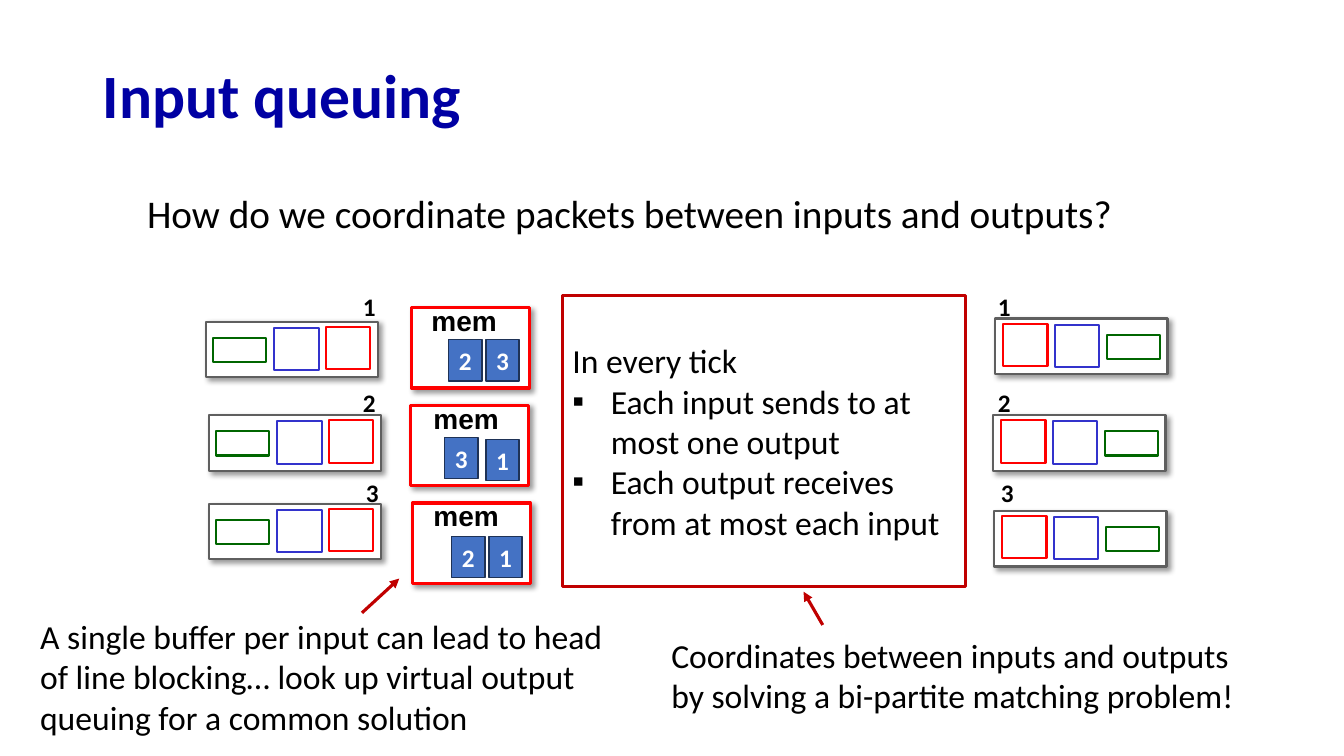
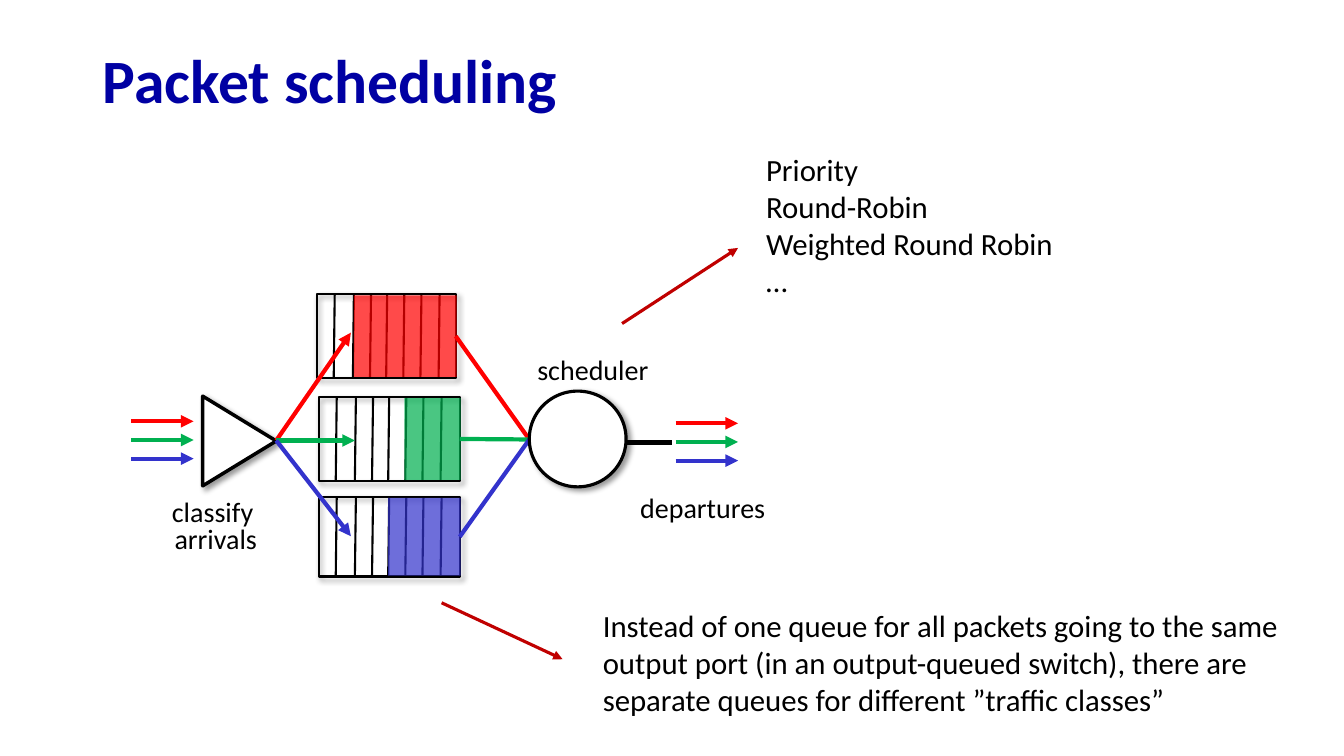
from lxml import etree
from pptx import Presentation
from pptx import util as u
from pptx.dml import color
from pptx.enum import shapes, text
from pptx.oxml import ns

PX = 9144
FONT = "Calibri"
COLORS = {
    "title": "0000A3", "black": "000000", "white": "FFFFFF", "gray": "5F5F5F",
    "red": "FF0000", "green": "00B050", "blue": "3333CC", "dark_green": "006600",
    "note": "C00000", "cell": "4472C4", "cell_edge": "1E3256",
}
TRAFFIC = ("red", "green", "blue")
DIVIDERS = (18, 37, 54, 70, 87, 104, 122)
RECTANGLE = shapes.MSO_SHAPE.RECTANGLE
LEFT, CENTER = text.PP_ALIGN.LEFT, text.PP_ALIGN.CENTER
TOP, MIDDLE = text.MSO_ANCHOR.TOP, text.MSO_ANCHOR.MIDDLE


def px(*values):
    return [u.Emu(round(value * PX)) for value in values]


def rgb(name):
    return color.RGBColor.from_string(COLORS[name])


def add_xml(parent, tag, **attributes):
    return etree.SubElement(parent, ns.qn(tag), attributes)


def write(shape, lines, size, ink="black", bold=False, align=LEFT, anchor=TOP,
          spacing=None, font=FONT, inset=(10, 5)):
    frame = shape.text_frame
    frame.word_wrap = True
    frame.vertical_anchor = anchor
    frame.margin_left = frame.margin_right = px(inset[0])[0]
    frame.margin_top = frame.margin_bottom = px(inset[1])[0]
    for index, line in enumerate(lines):
        paragraph = frame.add_paragraph() if index else frame.paragraphs[0]
        paragraph.alignment = align
        paragraph.line_spacing = spacing
        run = paragraph.add_run()
        run.text = line
        run.font.size = u.Pt(size)
        run.font.name = font
        run.font.bold = bold
        run.font.color.rgb = rgb(ink)


def add_text(slide, box, lines, size, **style):
    write(slide.shapes.add_textbox(*px(*box)), lines, size, **style)


def add_title(slide, top, title):
    add_text(slide, (92, top, 1150, 98), [title], 44, ink="title", bold=True,
             anchor=MIDDLE, spacing=0.9)


def add_bullets(paragraphs):
    indent = px(38)[0]
    for paragraph in paragraphs:
        properties = paragraph._p.get_or_add_pPr()
        properties.set("marL", str(indent))
        properties.set("indent", str(-indent))
        add_xml(properties, "a:buFont", typeface="Arial")
        add_xml(properties, "a:buChar", char="▪")


def add_shape(slide, box, fill=None, line=None, width=1.5, kind=RECTANGLE,
              shadow=False, opacity=None):
    shape = slide.shapes.add_shape(kind, *px(*box))
    shape.shadow.inherit = False
    properties = shape.element.spPr
    if fill:
        shape.fill.solid()
        shape.fill.fore_color.rgb = rgb(fill)
    else:
        shape.fill.background()
    if opacity:
        add_xml(next(properties.iter(ns.qn("a:srgbClr"))), "a:alpha", val=str(opacity * 1000))
    if line:
        shape.line.color.rgb = rgb(line)
        shape.line.width = u.Pt(width)
    else:
        shape.line.fill.background()
    if shadow:
        outer = add_xml(properties.find(ns.qn("a:effectLst")), "a:outerShdw",
                        blurRad=str(u.Pt(4)), dist=str(u.Pt(3)), dir="2700000",
                        algn="tl", rotWithShape="0")
        ink = add_xml(outer, "a:srgbClr", val=COLORS["black"])
        add_xml(ink, "a:alpha", val="40000")
    return shape


def add_line(slide, start, end, ink, width, arrow=False):
    connector = slide.shapes.add_connector(shapes.MSO_CONNECTOR.STRAIGHT, *px(*start, *end))
    connector.line.color.rgb = rgb(ink)
    connector.line.width = u.Pt(width)
    properties = connector.element.spPr
    if arrow:
        add_xml(properties.find(ns.qn("a:ln")), "a:tailEnd", type="triangle")
    add_xml(properties, "a:effectLst")
    return connector


def add_port(slide, left, top, mirrored=False):
    port_width = 171
    add_shape(slide, (left, top, port_width, 55), "white", "gray", shadow=True)
    parts = ((7, 16, 53, 24, "dark_green"), (68, 6, 44, 42, "blue"), (119, 5, 44, 42, "red"))
    for x, y, width, height, line in parts:
        offset = port_width - x - width if mirrored else x
        add_shape(slide, (left + offset, top + y, width, height), "white", line)


def add_memory(slide, left, top, label_left, cells):
    add_shape(slide, (left, top, 117, 80), "white", "red", 2.25, shadow=True)
    add_text(slide, (label_left, top - 9, 105, 54), ["mem"], 20, bold=True, font="Arial")
    for x, y, digit in cells:
        cell = add_shape(slide, (x, y, 33, 41), "cell", "cell_edge", 1)
        write(cell, [digit], 18, ink="white", bold=True, align=CENTER, anchor=MIDDLE,
              inset=(0, 0))


def add_queue(slide, box, fill_left, ink):
    left, top, width, height = box
    frame = add_shape(slide, box, line="black", shadow=True)
    for offset in DIVIDERS:
        x = left + offset
        add_line(slide, (x, top), (x - 1, top + height), "black", 1.5)
    add_shape(slide, (fill_left, top + 1, left + width + 1 - fill_left, height - 2),
              ink, opacity=71)
    return frame


def add_flows(slide, left, top):
    for index, ink in enumerate(TRAFFIC):
        y = top + index * 18.5
        add_line(slide, (left, y), (left + 62, y), ink, 3, arrow=True)


def build_input_queuing(slide):
    add_title(slide, 49, "Input queuing")
    for left, top in ((204, 319), (207, 412), (207, 500)):
        add_port(slide, left, top)
    for left, top in ((987, 316), (985, 412), (986, 507)):
        add_port(slide, left, top, mirrored=True)
    add_memory(slide, 408, 305, 418, ((445, 337, "2"), (482, 337, "3")))
    add_memory(slide, 407, 402, 420, ((441, 434, "3"), (482, 436, "1")))
    add_memory(slide, 409, 499, 420, ((448, 532, "2"), (485, 532, "1")))

    rules = add_shape(slide, (558, 293, 400, 289), "white", "note", 2.25)
    write(rules, ["In every tick", "Each input sends to at most one output",
                  "Each output receives from at most each input"], 24, anchor=MIDDLE)
    add_bullets(rules.text_frame.paragraphs[1:])

    add_text(slide, (136, 183, 988, 57),
             ["How do we coordinate packets between inputs and outputs?"], 28)
    for side in (350, 980):
        for digit, shift, top in (("1", 0, 284), ("2", 0, 379), ("3", 3, 469)):
            add_text(slide, (side + shift, top, 36, 40), [digit], 18, bold=True)

    add_line(slide, (816, 620), (797, 587), "note", 2.25, arrow=True)
    add_text(slide, (656, 625, 586, 91),
             ["Coordinates between inputs and outputs",
              "by solving a bi-partite matching problem!"], 24)
    add_line(slide, (359, 608), (396, 574), "note", 2.25, arrow=True)
    add_text(slide, (30, 606, 597, 131),
             ["A single buffer per input can lead to head of line blocking… "
              "look up virtual output queuing for a common solution"], 24)


def build_packet_scheduling(slide):
    add_title(slide, 34, "Packet scheduling")
    add_line(slide, (617, 439), (667, 439), "black", 3)
    queues = [add_queue(slide, box, fill_left, ink) for box, fill_left, ink in (
        ((314, 292, 138, 83), 351, "red"),
        ((316, 394, 140, 83), 401, "green"),
        ((316, 493, 140, 79), 385, "blue"),
    )]
    classifier = add_shape(slide, (193, 401, 89, 73), "white", "black", 2.5,
                           shapes.MSO_SHAPE.ISOSCELES_TRIANGLE, shadow=True)
    classifier.rotation = 90
    add_flows(slide, 130, 418)
    add_flows(slide, 670, 420)

    for ink, end in zip(TRAFFIC, ((348, 330), (352, 437), (348, 532))):
        add_line(slide, (274, 437), end, ink, 3, arrow=True)
    for ink, queue in zip(TRAFFIC, queues):
        link = add_line(slide, (456, 436), (525, 436), ink, 3)
        link.begin_connect(queue, 3)
    add_shape(slide, (525, 388, 96, 95), "white", "black", 2.25,
              shapes.MSO_SHAPE.OVAL, shadow=True)

    for box, lines in (
        ((160, 492, 108, 65), ["classify ", "arrivals"]),
        ((624, 488, 146, 38), ["departures"]),
        ((522, 351, 132, 38), ["scheduler"]),
    ):
        add_text(slide, box, lines, 20, align=CENTER, spacing=0.8)

    add_line(slide, (438, 598), (558, 654), "note", 2.25, arrow=True)
    add_line(slide, (617, 321), (732, 246), "note", 2.25, arrow=True)
    add_text(slide, (750, 145, 338, 158),
             ["Priority", "Round-Robin", "Weighted Round Robin", "…"], 22)
    add_text(slide, (588, 597, 718, 121),
             ["Instead of one queue for all packets going to the same output port "
              "(in an output-queued switch), there are separate queues for different "
              "”traffic classes”"], 22)


def main():
    presentation = Presentation()
    presentation.slide_width, presentation.slide_height = px(1333, 750)
    for build in (build_input_queuing, build_packet_scheduling):
        build(presentation.slides.add_slide(presentation.slide_layouts[6]))
    presentation.save("out.pptx")


if __name__ == "__main__":
    main()
